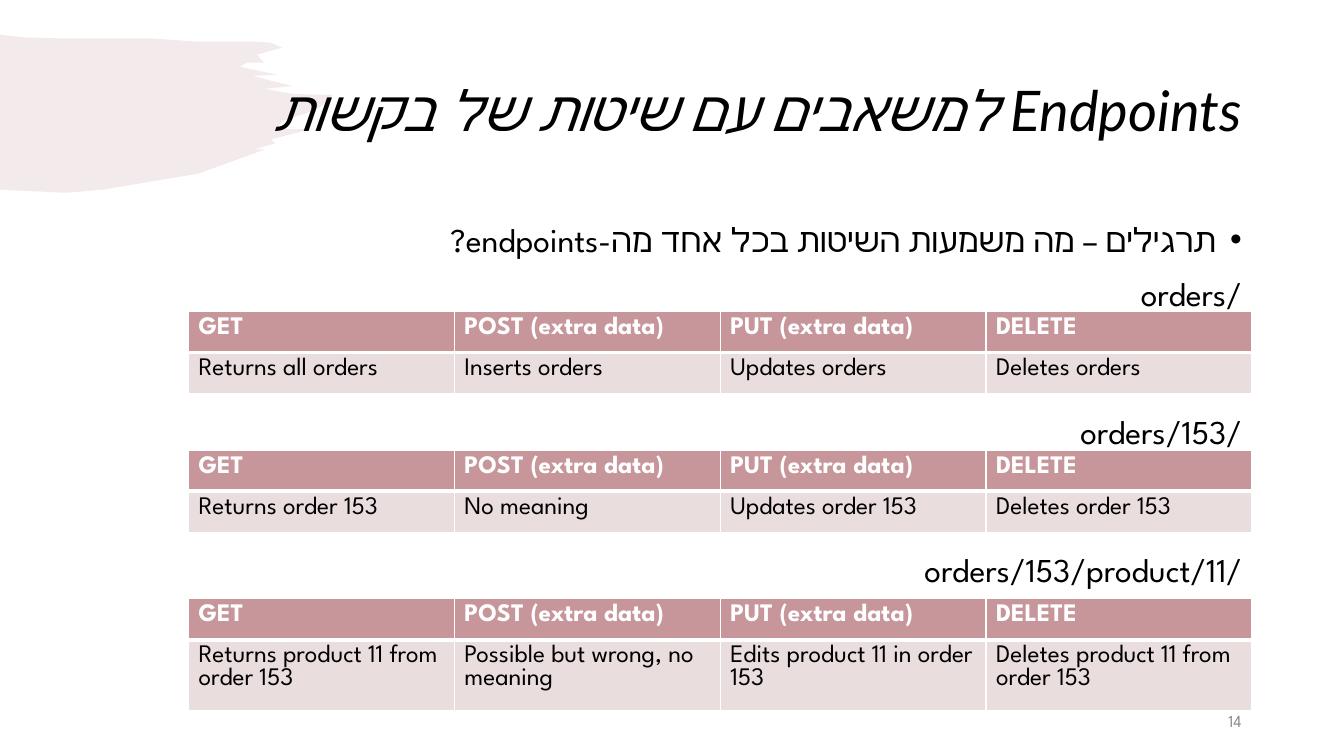
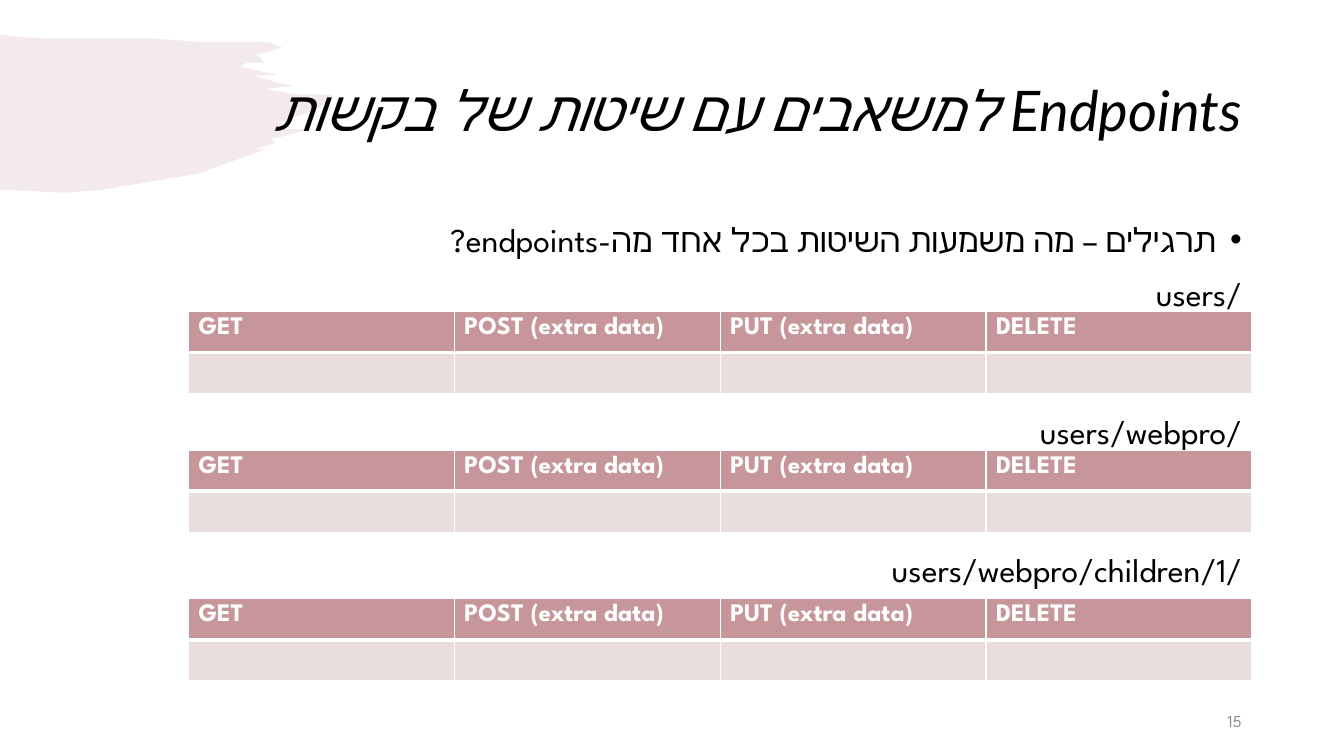
import pptx
import pptx.util
import pptx.dml.color
import pptx.enum.text
import pptx.oxml.ns
import lxml.etree

Cm = pptx.util.Cm
Pt = pptx.util.Pt
ALIGN = pptx.enum.text.PP_ALIGN
ANCHOR = pptx.enum.text.MSO_ANCHOR
COLORS = {
    "black": "000000", "white": "FFFFFF", "rose": "C6969B",
    "pale": "EADDDE", "gray": "8C8C8C",
}
HEADING_FONT = "Lato"
BODY_FONT = "League Spartan"
TITLE = "Endpoints למשאבים עם שיטות של בקשות"
QUESTION = "תרגילים – מה משמעות השיטות בכל אחד מה-endpoints?"
METHODS = ["GET", "POST (extra data)", "PUT (extra data)", "DELETE"]
BLANK_ROW = [""] * len(METHODS)
SECTION_PITCH = 3.48
TABLE_OFFSETS = [0.9, 0.92, 1.18]
ROW_HEIGHT = 1.03
BRUSH_UNIT = Cm(0.0254)
BRUSH_OUTLINE = [
    (0, 0), (25, 3), (66, 4), (151, 4), (194, 7), (248, 7), (268, 8), (280, 13),
    (255, 20), (262, 28), (245, 28), (238, 32), (275, 40), (251, 41), (273, 47),
    (290, 51), (263, 54), (290, 59), (330, 60), (318, 72), (307, 77), (280, 86),
    (274, 94), (308, 94), (269, 104), (273, 108), (252, 114), (263, 114), (197, 138),
    (102, 154), (65, 157), (0, 154),
]
SLIDES = [
    ("14", [
        ("/orders", ["Returns all orders", "Inserts orders", "Updates orders", "Deletes orders"]),
        ("/orders/153", ["Returns order 153", "No meaning", "Updates order 153",
                         "Deletes order 153"]),
        ("/orders/153/product/11", [
            "Returns product 11 from order 153", "Possible but wrong, no meaning",
            "Edits product 11 in order 153", "Deletes product 11 from order 153"]),
    ]),
    ("15", [
        ("/users", BLANK_ROW),
        ("/users/webpro", BLANK_ROW),
        ("/users/webpro/children/1", BLANK_ROW),
    ]),
]


def color(name):
    """Return the named colour of the palette."""
    return pptx.dml.color.RGBColor.from_string(COLORS[name])


def add_xml(parent, tag, **attributes):
    """Append a DrawingML element and return it."""
    return lxml.etree.SubElement(parent, pptx.oxml.ns.qn(tag), attributes)


def write_text(frame, text, size=18, font=BODY_FONT, ink="black", bold=False, italic=False,
               align=None, spacing=None, rtl=False, bullet=False):
    """Write one formatted paragraph into a text frame."""
    paragraph = frame.paragraphs[0]
    paragraph.alignment = align
    paragraph.line_spacing = spacing
    run = paragraph.add_run()
    run.text = text
    run.font.size = Pt(size)
    run.font.name = font
    run.font.bold = bold
    run.font.italic = italic
    run.font.color.rgb = color(ink)
    properties = paragraph._p.get_or_add_pPr()
    if rtl:
        properties.set("rtl", "1")
        add_xml(run.font._element, "a:cs", typeface=font)
    if bullet:
        indent = Cm(0.64)
        properties.set("marL", str(indent))
        properties.set("indent", str(-indent))
        add_xml(properties, "a:buFont", typeface="Arial")
        add_xml(properties, "a:buChar", char="•")


def add_text(slide, box, text, anchor=ANCHOR.TOP, **style):
    """Place a wrapped, right-aligned text box."""
    frame = slide.shapes.add_textbox(*map(Cm, box)).text_frame
    frame.word_wrap = True
    frame.vertical_anchor = anchor
    write_text(frame, text, align=ALIGN.RIGHT, **style)


def add_brush(slide, left, top):
    """Draw the translucent brush stroke from its top left corner."""
    builder = slide.shapes.build_freeform(*BRUSH_OUTLINE[0], scale=BRUSH_UNIT)
    builder.add_line_segments(BRUSH_OUTLINE[1:], close=True)
    shape = builder.convert_to_shape(Cm(left), Cm(top))
    shape.shadow.inherit = False
    shape.line.fill.background()
    shape.fill.solid()
    shape.fill.fore_color.rgb = color("rose")
    tint = shape._element.spPr.find(".//" + pptx.oxml.ns.qn("a:srgbClr"))
    add_xml(tint, "a:alpha", val="20000")


def format_cell(cell, text, header):
    """Give a table cell its text, white borders and fill."""
    if text:
        write_text(cell.text_frame, text, ink="white" if header else "black", bold=header)
    properties = cell._tc.get_or_add_tcPr()
    thick_side = "B" if header else "T"
    for side in "LRTB":
        width = Pt(3 if side == thick_side else 1)
        border = add_xml(properties, "a:ln" + side, w=str(width))
        add_xml(add_xml(border, "a:solidFill"), "a:srgbClr", val=COLORS["white"])
    cell.fill.solid()
    cell.fill.fore_color.rgb = color("rose" if header else "pale")


def add_methods_table(slide, box, meanings):
    """Place the two-row table of request methods and their meanings."""
    left, top, width = box
    table = slide.shapes.add_table(
        2, len(METHODS), Cm(left), Cm(top), Cm(width), Cm(2 * ROW_HEIGHT)).table
    for row, texts in enumerate((METHODS, meanings)):
        for column, text in enumerate(texts):
            format_cell(table.cell(row, column), text, header=row == 0)


def add_section(slide, box, table_offset, endpoint, meanings):
    """Place an endpoint label with its table of methods below."""
    left, top, width = box
    add_text(slide, (left, top, width, 1), endpoint, size=23.8, spacing=0.8, rtl=True)
    add_methods_table(slide, (left, top + table_offset, width), meanings)


def add_frame(slide, box, number):
    """Place the parts shared by all slides: brush, title, question, number."""
    left, top, width = box
    add_brush(slide, 0, top - 0.15)
    add_text(slide, (left, top, width, 3.68), TITLE, anchor=ANCHOR.MIDDLE, size=40,
             font=HEADING_FONT, italic=True, spacing=0.9, rtl=True)
    add_text(slide, (left, top + 4.57, width, 1.2), QUESTION, size=23.8, spacing=0.8,
             rtl=True, bullet=True)
    add_text(slide, (left + width - 7.62, top + 16.63, 7.62, 1.01), number,
             anchor=ANCHOR.MIDDLE, size=12, ink="gray")


def build_slide(presentation, number, sections):
    """Build one exercise slide from its endpoint sections."""
    slide = presentation.slides.add_slide(presentation.slide_layouts[6])
    add_frame(slide, (2.33, 1.02, 29.21), number)
    for index, (offset, section) in enumerate(zip(TABLE_OFFSETS, sections)):
        box = (4.75, 6.95 + index * SECTION_PITCH, 26.8)
        add_section(slide, box, offset, *section)


def main():
    """Build and save the presentation."""
    presentation = pptx.Presentation()
    presentation.slide_width = Cm(33.87)
    presentation.slide_height = Cm(19.05)
    for number, sections in SLIDES:
        build_slide(presentation, number, sections)
    presentation.save("out.pptx")


main()
